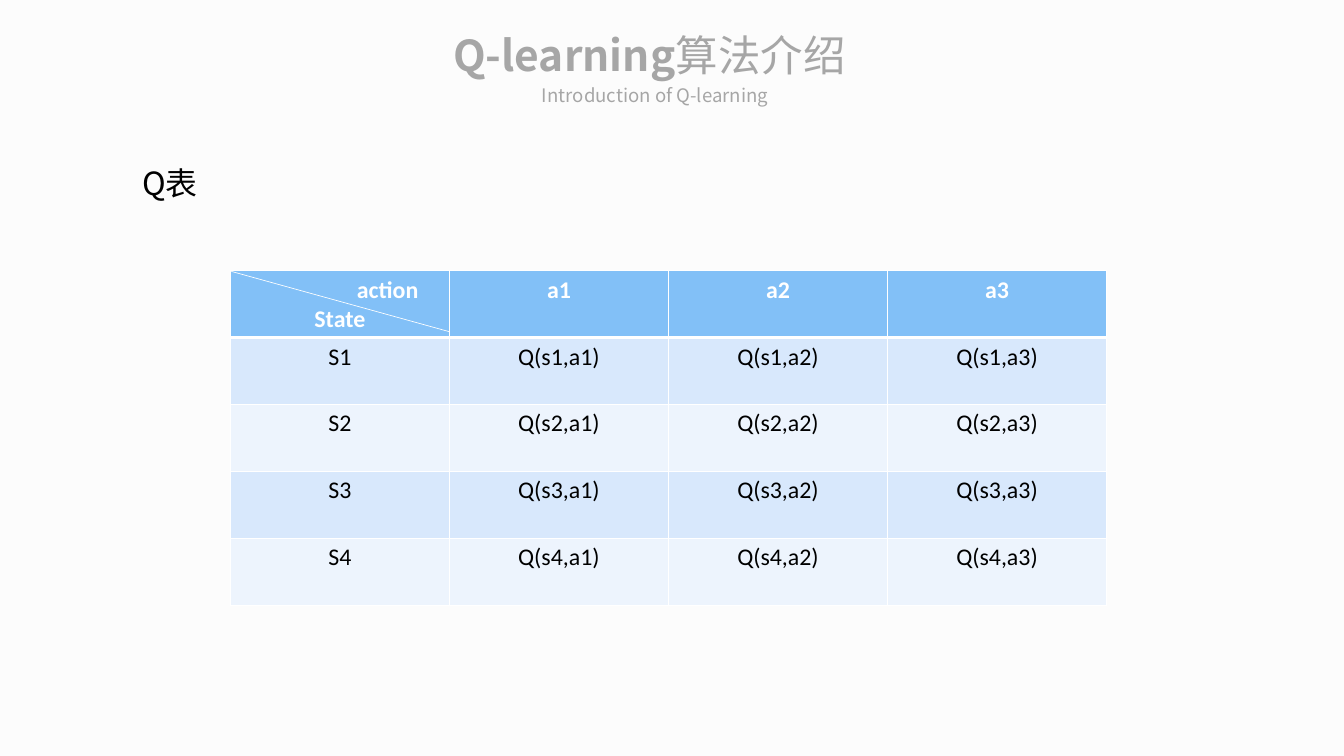
from dataclasses import dataclass

from lxml import etree
from pptx import Presentation
from pptx.dml.color import RGBColor
from pptx.enum.shapes import MSO_CONNECTOR
from pptx.enum.text import MSO_ANCHOR, MSO_AUTO_SIZE, PP_ALIGN
from pptx.oxml.ns import qn
from pptx.util import Inches, Pt

STRAIGHT = MSO_CONNECTOR.STRAIGHT
TOP, MIDDLE = MSO_ANCHOR.TOP, MSO_ANCHOR.MIDDLE
GROW = MSO_AUTO_SIZE.SHAPE_TO_FIT_TEXT
LEFT, CENTER = PP_ALIGN.LEFT, PP_ALIGN.CENTER

BACKGROUND = RGBColor(0xFC, 0xFC, 0xFC)
WHITE = RGBColor(0xFF, 0xFF, 0xFF)
BLACK = RGBColor(0x00, 0x00, 0x00)
GRAY = RGBColor(0xA6, 0xA6, 0xA6)
HEADER_BLUE = RGBColor(0x82, 0xC0, 0xF7)
BAND_BLUES = (RGBColor(0xD8, 0xE8, 0xFC), RGBColor(0xED, 0xF4, 0xFD))

HEADING_FONT = "Noto Sans CJK SC"
TABLE_FONT = "Calibri"
SLIDE_WIDTH, SLIDE_HEIGHT = Inches(14.06), Inches(7.91)
ACTIONS = ("a1", "a2", "a3")
STATES = ("1", "2", "3", "4")
ACTION_INDENT = Inches(1)


@dataclass(frozen=True)
class Box:
    """A rectangle in percent of the slide's width and height."""
    left: float
    top: float
    width: float
    height: float

    def lengths(self) -> tuple[int, int, int, int]:
        return (across(self.left), down(self.top),
                across(self.width), down(self.height))


@dataclass(frozen=True)
class Label:
    box: Box
    runs: tuple[tuple[str, bool], ...]
    size: int
    color: RGBColor
    alignment: PP_ALIGN = LEFT
    anchor: MSO_ANCHOR = MIDDLE
    inset: bool = False
    line_spacing: float = 1.0


LABELS = (
    Label(Box(9.89, 19.97, 8.6, 6.95), (("Q表", False),), 24, BLACK,
          anchor=TOP, inset=True, line_spacing=1.2),
    Label(Box(33.71, 3.79, 30.73, 6.83),
          (("Q-learning", True), ("算法介绍", False)), 32, GRAY),
    Label(Box(37.84, 11, 21.83, 3.03),
          (("Introduction of Q-learning", False),), 14, GRAY, CENTER),
)
TABLE_BOX = Box(17.14, 35.78, 65.2, 44.25)
DIAGONAL_BOX = Box(17.21, 35.9, 16.22, 7.97)


def across(percent: float) -> int:
    return round(SLIDE_WIDTH * percent / 100)


def down(percent: float) -> int:
    return round(SLIDE_HEIGHT * percent / 100)


def format_run(run, font_name: str, size: int, color: RGBColor, bold: bool) -> None:
    run.font.name = font_name
    run.font.size = Pt(size)
    run.font.bold = bold
    run.font.color.rgb = color
    east_asian = etree.Element(qn("a:ea"), typeface=font_name)
    run.font._element.find(qn("a:latin")).addnext(east_asian)


def add_label(slide, label: Label) -> None:
    frame = slide.shapes.add_textbox(*label.box.lengths()).text_frame
    frame.word_wrap = True
    frame.auto_size = GROW
    frame.vertical_anchor = label.anchor
    if not label.inset:
        frame.margin_left = frame.margin_right = 0
        frame.margin_top = frame.margin_bottom = 0
    paragraph = frame.paragraphs[0]
    paragraph.alignment = label.alignment
    paragraph.line_spacing = label.line_spacing
    for text, bold in label.runs:
        run = paragraph.add_run()
        run.text = text
        format_run(run, HEADING_FONT, label.size, label.color, bold)


def add_borders(cell, bottom_width: int) -> None:
    properties = cell._tc.get_or_add_tcPr()
    for side, width in (("L", 1), ("R", 1), ("T", 1), ("B", bottom_width)):
        line = etree.SubElement(properties, qn(f"a:ln{side}"), w=str(Pt(width)))
        fill = etree.SubElement(line, qn("a:solidFill"))
        etree.SubElement(fill, qn("a:srgbClr"), val=str(WHITE))


def fill_cell(cell, text: str, fill: RGBColor, is_header: bool) -> None:
    add_borders(cell, 3 if is_header else 1)
    cell.fill.solid()
    cell.fill.fore_color.rgb = fill
    cell.text_frame.text = text
    for paragraph in cell.text_frame.paragraphs:
        paragraph.alignment = CENTER
        for run in paragraph.runs:
            format_run(run, TABLE_FONT, 18, WHITE if is_header else BLACK, is_header)


def add_q_table(slide) -> None:
    rows = [("action\nState", *ACTIONS)]
    rows += [(f"S{state}", *(f"Q(s{state},{action})" for action in ACTIONS))
             for state in STATES]
    left, top, width, height = TABLE_BOX.lengths()
    table = slide.shapes.add_table(
        len(rows), len(rows[0]), left, top, width, height).table
    for row_index, texts in enumerate(rows):
        is_header = row_index == 0
        fill = HEADER_BLUE if is_header else BAND_BLUES[(row_index - 1) % 2]
        for column_index, text in enumerate(texts):
            fill_cell(table.cell(row_index, column_index), text, fill, is_header)
    action_paragraph = table.cell(0, 0).text_frame.paragraphs[0]
    paragraph_properties = action_paragraph._p.get_or_add_pPr()
    paragraph_properties.set("marL", str(ACTION_INDENT))
    paragraph_properties.set("indent", "0")


def add_header_diagonal(slide) -> None:
    left, top, width, height = DIAGONAL_BOX.lengths()
    diagonal = slide.shapes.add_connector(
        STRAIGHT, left, top, left + width, top + height)
    diagonal.line.color.rgb = WHITE
    diagonal.line.width = Pt(0.5)
    etree.SubElement(diagonal._element.spPr, qn("a:effectLst"))


def main() -> None:
    presentation = Presentation()
    presentation.slide_width = SLIDE_WIDTH
    presentation.slide_height = SLIDE_HEIGHT
    slide = presentation.slides.add_slide(presentation.slide_layouts[6])
    slide.background.fill.solid()
    slide.background.fill.fore_color.rgb = BACKGROUND
    for label in LABELS:
        add_label(slide, label)
    add_q_table(slide)
    add_header_diagonal(slide)
    presentation.save("out.pptx")


if __name__ == "__main__":
    main()
